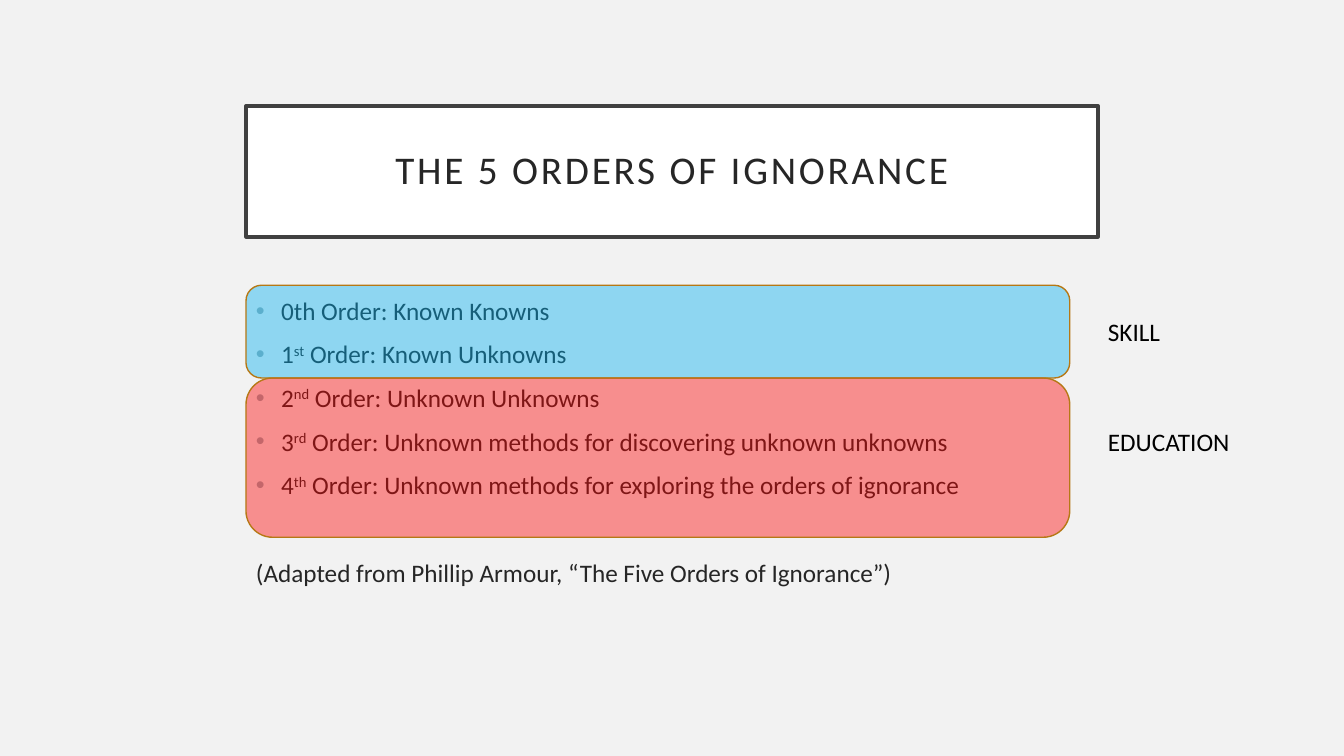
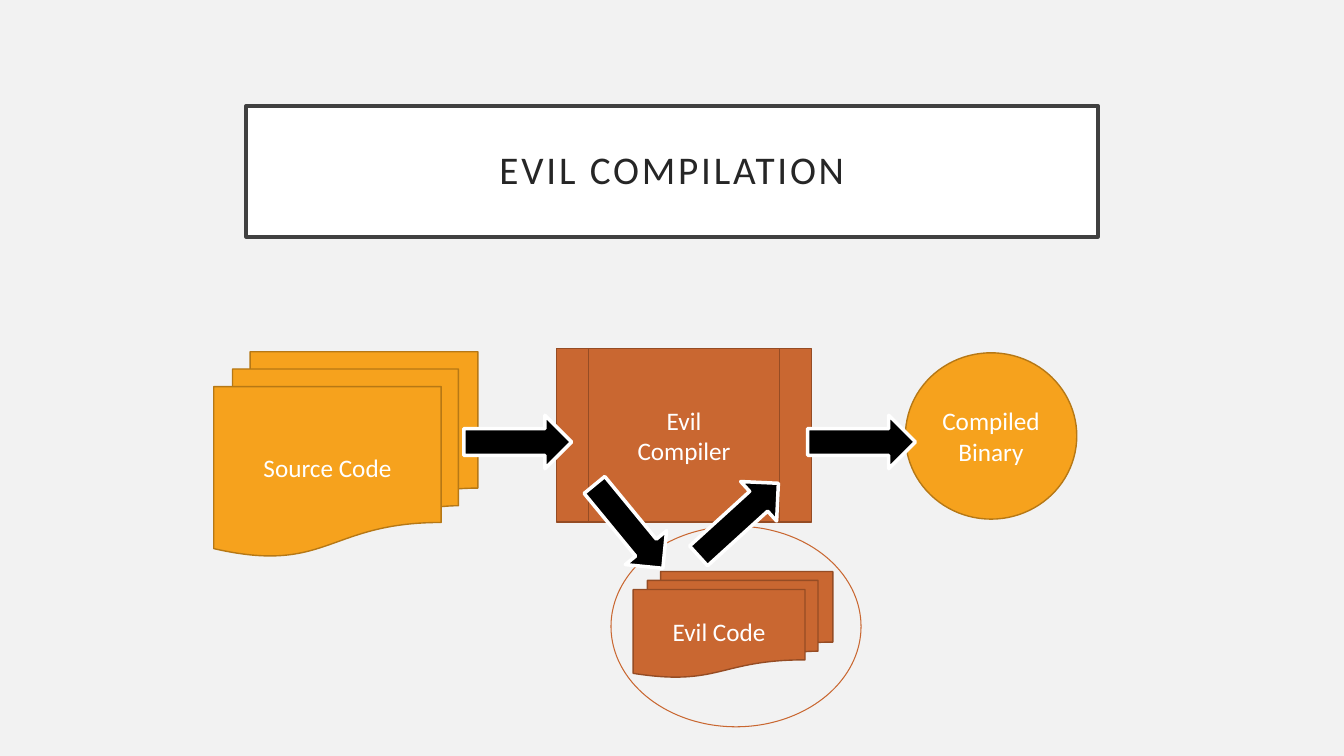
"""Build two slides: the orders of ignorance and a diagram of evil compilation."""
from lxml.etree import SubElement
from pptx import Presentation
from pptx.dml.color import RGBColor
from pptx.enum.shapes import MSO_SHAPE
from pptx.enum.text import MSO_ANCHOR, MSO_AUTO_SIZE, PP_ALIGN
from pptx.oxml.ns import qn
from pptx.util import Inches, Pt

FONT = "Calibri"
BACKGROUND, WHITE, BLACK, INK = "F2F2F2", "FFFFFF", "000000", "262626"
FRAME, BULLET = "404040", "9BAFB5"
GOLD, GOLD_EDGE, RUST, RUST_EDGE = "F6A21D", "B67815", "C96731", "954C24"

TITLE_BOX = (2.44, 1.05, 8.45, 1.3)
ORDERS_TITLE = "THE 5 ORDERS OF IGNORANCE"
ORDERS = [
    ("0th", "", " Order: Known Knowns"),
    ("1", "st", " Order: Known Unknowns"),
    ("2", "nd", " Order: Unknown Unknowns"),
    ("3", "rd", " Order: Unknown methods for discovering unknown unknowns"),
    ("4", "th", " Order: Unknown methods for exploring the orders of ignorance"),
]
CREDIT = "(Adapted from Phillip Armour, “The Five Orders of Ignorance”)"
ORDERS_BOX = (2.44, 2.88, 8.45, 3.39)
ORDER_GAP, CREDIT_GAP = 9.5, 41
GROUPS = [
    ("SKILL", "00B0F0", (2.44, 2.83, 8.17, 0.92), (10.89, 3.09, 0.79, 0.4)),
    ("EDUCATION", "FF0000", (2.44, 3.75, 8.17, 1.58), (10.89, 4.18, 1.65, 0.4)),
]
GROUP_OPACITY = 41

COMPILATION_TITLE = "EVIL COMPILATION"
STAGES = [
    ("Source Code", MSO_SHAPE.FLOWCHART_MULTIDOCUMENT, (2.12, 3.49, 2.62, 2.03), GOLD, GOLD_EDGE),
    ("Evil\nCompiler", MSO_SHAPE.FLOWCHART_PREDEFINED_PROCESS, (5.52, 3.46, 2.53, 1.72), RUST, RUST_EDGE),
    ("Compiled Binary", MSO_SHAPE.FLOWCHART_CONNECTOR, (8.98, 3.5, 1.7, 1.65), GOLD, GOLD_EDGE),
]
EVIL_RING = (6.06, 5.22, 2.48, 1.99)
EVIL_CODE = ("Evil Code", MSO_SHAPE.FLOWCHART_MULTIDOCUMENT, (6.28, 5.67, 1.98, 1.05), RUST, RUST_EDGE)
ARROW_SIZE = (1.07, 0.53)
MAIN_ARROWS = [(4.6, 4.12, 0), (8.01, 4.12, 0)]
EVIL_ARROWS = [(5.7, 4.96, 50.6), (6.79, 4.89, 317.7)]


def color(value):
    return RGBColor.from_string(value)


def place(box):
    return [Inches(length) for length in box]


def style_paragraph(paragraph, text_color, size=18, alignment=PP_ALIGN.LEFT):
    paragraph.alignment = alignment
    paragraph.font.name = FONT
    paragraph.font.size = Pt(size)
    paragraph.font.color.rgb = color(text_color)


def style_outline(shape, fill, line, width):
    if fill:
        shape.fill.solid()
        shape.fill.fore_color.rgb = color(fill)
    else:
        shape.fill.background()
    shape.line.color.rgb = color(line)
    shape.line.width = Pt(width)


def add_titled_slide(presentation, title):
    slide = presentation.slides.add_slide(presentation.slide_layouts[5])
    slide.background.fill.solid()
    slide.background.fill.fore_color.rgb = color(BACKGROUND)
    shape = slide.shapes.title
    shape.left, shape.top, shape.width, shape.height = place(TITLE_BOX)
    style_outline(shape, WHITE, FRAME, 2.5)
    frame = shape.text_frame
    frame.text = title
    frame.auto_size = MSO_AUTO_SIZE.NONE
    frame.vertical_anchor = MSO_ANCHOR.MIDDLE
    frame.margin_left = frame.margin_right = Inches(0.2)
    frame.margin_top = frame.margin_bottom = Inches(0.2)
    paragraph = frame.paragraphs[0]
    paragraph.line_spacing = 0.9
    style_paragraph(paragraph, INK, 28, PP_ALIGN.CENTER)
    paragraph.runs[0].font._element.set("spc", "200")
    return slide


def add_shape(slide, kind, box, fill, line, width=1, text=""):
    shape = slide.shapes.add_shape(kind, *place(box))
    shape.shadow.inherit = False
    style_outline(shape, fill, line, width)
    if text:
        shape.text_frame.text = text
        shape.text_frame.vertical_anchor = MSO_ANCHOR.MIDDLE
        for paragraph in shape.text_frame.paragraphs:
            style_paragraph(paragraph, WHITE, alignment=PP_ALIGN.CENTER)
    return shape


def add_bullet(paragraph):
    properties = paragraph._p.get_or_add_pPr()
    properties.set("marL", str(Inches(0.25)))
    properties.set("indent", str(Inches(-0.25)))
    bullet_color = SubElement(properties, qn("a:buClr"))
    SubElement(bullet_color, qn("a:srgbClr"), val=BULLET)
    SubElement(properties, qn("a:buFont"), typeface="Arial")
    SubElement(properties, qn("a:buChar"), char="•")


def add_orders(slide):
    frame = slide.shapes.add_textbox(*place(ORDERS_BOX)).text_frame
    frame.word_wrap = True
    paragraph = frame.paragraphs[0]
    for number, suffix, description in ORDERS:
        add_bullet(paragraph)
        paragraph.space_before = Pt(ORDER_GAP)
        style_paragraph(paragraph, INK)
        paragraph.add_run().text = number
        if suffix:
            run = paragraph.add_run()
            run.text = suffix
            run.font._element.set("baseline", "30000")
        paragraph.add_run().text = description
        paragraph = frame.add_paragraph()
    paragraph.text = CREDIT
    paragraph.space_before = Pt(CREDIT_GAP)
    style_paragraph(paragraph, INK)


def add_group(slide, label, fill, box):
    shape = add_shape(slide, MSO_SHAPE.ROUNDED_RECTANGLE, box, fill, GOLD_EDGE)
    fill_color = shape._element.spPr.find(qn("a:solidFill")).find(qn("a:srgbClr"))
    SubElement(fill_color, qn("a:alpha"), val=str(GROUP_OPACITY * 1000))


def add_label(slide, label, box):
    frame = slide.shapes.add_textbox(*place(box)).text_frame
    frame.word_wrap = False
    frame.text = label
    style_paragraph(frame.paragraphs[0], BLACK)


def add_stage(slide, text, kind, box, fill, line):
    add_shape(slide, kind, box, fill, line, text=text)


def add_arrows(slide, arrows):
    for left, top, rotation in arrows:
        arrow = add_shape(slide, MSO_SHAPE.RIGHT_ARROW, (left, top, *ARROW_SIZE), BLACK, WHITE, 2.5)
        arrow.rotation = rotation


def build_orders_slide(presentation):
    slide = add_titled_slide(presentation, ORDERS_TITLE)
    add_orders(slide)
    for label, fill, box, label_box in GROUPS:
        add_group(slide, label, fill, box)
        add_label(slide, label, label_box)


def build_compilation_slide(presentation):
    slide = add_titled_slide(presentation, COMPILATION_TITLE)
    for stage in STAGES:
        add_stage(slide, *stage)
    add_arrows(slide, MAIN_ARROWS)
    add_shape(slide, MSO_SHAPE.FLOWCHART_CONNECTOR, EVIL_RING, None, RUST, 0.75)
    add_stage(slide, *EVIL_CODE)
    add_arrows(slide, EVIL_ARROWS)


presentation = Presentation()
presentation.slide_width, presentation.slide_height = Inches(13.33), Inches(7.5)
build_orders_slide(presentation)
build_compilation_slide(presentation)
presentation.save("out.pptx")
